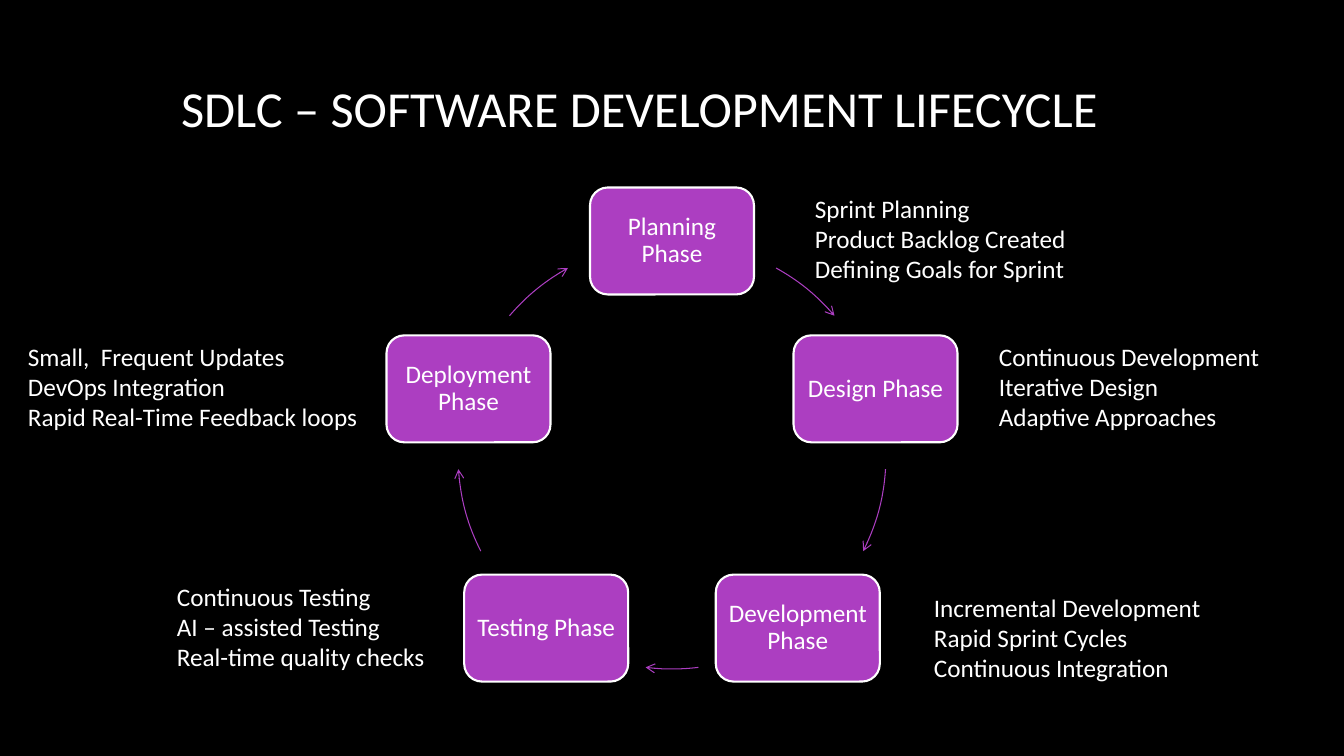
import math
import pptx
import pptx.util
import pptx.dml.color
import pptx.enum.shapes
import pptx.enum.text
import pptx.oxml.ns
import lxml.etree

SCALE = 914400 / 100.8  # EMU in one px
BLACK = pptx.dml.color.RGBColor(0x00, 0x00, 0x00)
WHITE = pptx.dml.color.RGBColor(0xFF, 0xFF, 0xFF)
PURPLE = pptx.dml.color.RGBColor(0xAC, 0x3E, 0xC1)
SHAPES = pptx.enum.shapes.MSO_SHAPE
ALIGN = pptx.enum.text.PP_ALIGN
MIDDLE = pptx.enum.text.MSO_ANCHOR.MIDDLE
AUTO_SIZE = pptx.enum.text.MSO_AUTO_SIZE

CENTER_X, CENTER_Y, RADIUS = 672, 455, 214
PHASE_WIDTH, PHASE_HEIGHT = 164, 107

# Clockwise from the top: name, arc to the next phase in degrees,
# box of the notes, lines of the notes
PHASES = [
    ("Planning Phase", (299.1, 319.4), (805, 188, 274, 102),
     ["Sprint Planning", "Product Backlog Created", "Defining Goals for Sprint"]),
    ("Design Phase", (3.8, 26.7), (989, 336, 284, 102),
     ["Continuous Development", "Iterative Design", "Adaptive Approaches"]),
    ("Development Phase", (82.9, 97.1), (924, 587, 290, 102),
     ["Incremental Development", "Rapid Sprint Cycles", "Continuous Integration"]),
    ("Testing Phase", (153.3, 176.2), (167, 576, 271, 102),
     ["Continuous Testing", "AI – assisted Testing", "Real-time quality checks"]),
    ("Deployment Phase", (220.6, 240.9), (18, 336, 354, 132),
     ["Small,  Frequent Updates", "DevOps Integration", "Rapid Real-Time Feedback loops"]),
]


def px(*lengths):
    return [pptx.util.Emu(round(length * SCALE)) for length in lengths]


def write(frame, lines, size, align):
    frame.text = "\n".join(lines)
    for para in frame.paragraphs:
        para.alignment = align
        para.font.name = "Calibri"
        para.font.size = pptx.util.Pt(size)
        para.font.color.rgb = WHITE


# Slide
deck = pptx.Presentation()
deck.slide_width, deck.slide_height = px(1344, 756)
page = deck.slides.add_slide(deck.slide_layouts[5])
page.background.fill.solid()
page.background.fill.fore_color.rgb = BLACK

# Title
title = page.shapes.title
title.left, title.top, title.width, title.height = px(81, 27, 1117, 160)
write(title.text_frame, ["SDLC – SOFTWARE DEVELOPMENT LIFECYCLE"], 36, ALIGN.CENTER)
title.text_frame.vertical_anchor = MIDDLE
title.text_frame.auto_size = AUTO_SIZE.NONE

for index, (name, angles, notes_box, notes) in enumerate(PHASES):
    # Phase, placed evenly on the circle
    turn = math.radians(-90 + index * 360 / len(PHASES))
    left = CENTER_X + RADIUS * math.cos(turn) - PHASE_WIDTH / 2
    top = CENTER_Y + RADIUS * math.sin(turn) - PHASE_HEIGHT / 2
    phase = page.shapes.add_shape(SHAPES.ROUNDED_RECTANGLE,
                                  *px(left, top, PHASE_WIDTH, PHASE_HEIGHT))
    phase.shadow.inherit = False
    phase.fill.solid()
    phase.fill.fore_color.rgb = PURPLE
    phase.line.color.rgb = WHITE
    phase.line.width = pptx.util.Pt(1.5)
    frame = phase.text_frame
    frame.word_wrap = True
    frame.vertical_anchor = MIDDLE
    # The rounded corners inset the text by a further 5 px
    frame.margin_left, frame.margin_right = px(6, 6)
    write(frame, [name], 18, ALIGN.CENTER)
    frame.paragraphs[0].line_spacing = 0.9

    # Arrow along the circle; one degree is 60000 units, or 0.6 here
    arrow = page.shapes.add_shape(SHAPES.ARC, *px(CENTER_X - RADIUS, CENTER_Y - RADIUS,
                                                  2 * RADIUS, 2 * RADIUS))
    arrow.shadow.inherit = False
    arrow.fill.background()
    for side, angle in enumerate(angles):
        arrow.adjustments[side] = angle * 0.6
    arrow.line.color.rgb = PURPLE
    arrow.line.width = pptx.util.Pt(0.75)
    lxml.etree.SubElement(arrow.line._get_or_add_ln(),
                          pptx.oxml.ns.qn("a:tailEnd"), type="arrow")

    # Notes beside the phase
    box = page.shapes.add_textbox(*px(*notes_box))
    write(box.text_frame, notes, 18, ALIGN.LEFT)
    box.text_frame.word_wrap = False
    box.text_frame.auto_size = AUTO_SIZE.SHAPE_TO_FIT_TEXT

deck.save("out.pptx")
